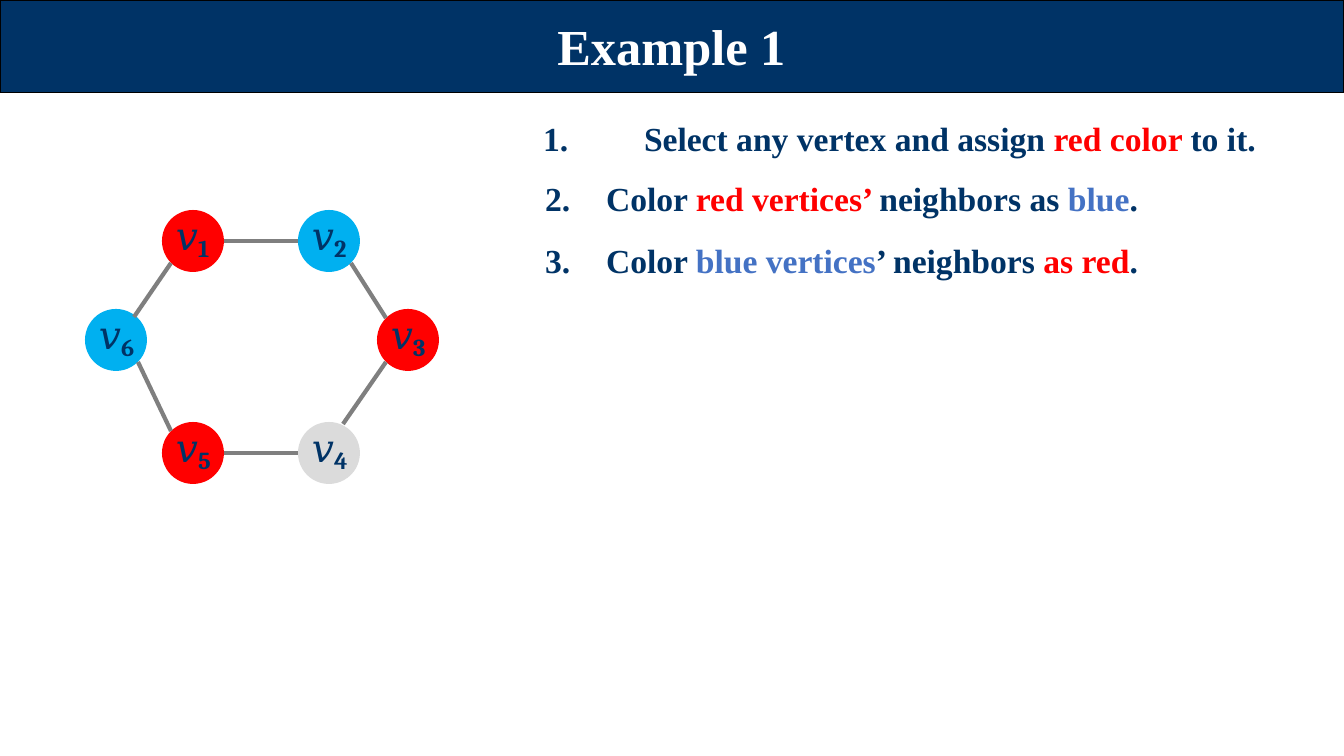
from lxml import etree
from pptx import Presentation
from pptx.dml.color import RGBColor
from pptx.enum.shapes import MSO_CONNECTOR, MSO_SHAPE
from pptx.enum.text import MSO_ANCHOR, PP_ALIGN
from pptx.oxml.ns import qn
from pptx.util import Pt

EMU_PER_PX = 914400 / 100.8
OVAL, RECTANGLE = MSO_SHAPE.OVAL, MSO_SHAPE.RECTANGLE
STRAIGHT = MSO_CONNECTOR.STRAIGHT
LEFT, CENTER = PP_ALIGN.LEFT, PP_ALIGN.CENTER
TOP, MIDDLE = MSO_ANCHOR.TOP, MSO_ANCHOR.MIDDLE

COLORS = {
    "navy": "003366", "white": "FFFFFF", "black": "000000",
    "red": "FF0000", "sky": "00B0F0", "blue": "4472C4",
    "pale": "DBDBDB", "gray": "7F7F7F",
}
SERIF, MATH = "Times New Roman", "Cambria"
DIAMETER = 62

VERTICES = [
    ("1", 193, 241, "red"), ("2", 329, 241, "sky"), ("3", 408, 340, "red"),
    ("4", 329, 453, "pale"), ("5", 193, 453, "red"), ("6", 116, 340, "sky"),
]
EDGES = [
    (224, 241, 298, 241), (351, 263, 386, 318), (386, 362, 343, 424),
    (298, 453, 224, 453), (171, 431, 138, 362), (134, 317, 171, 263),
]
STEPS = [
    (0, 101, 5, [("1.\tSelect any vertex and assign ", "navy"),
                 ("red color ", "red"), ("to it.", "navy")]),
    (2, 63, 14, [("2.\tColor ", "navy"), ("red vertices’ ", "red"),
                 ("neighbors as ", "navy"), ("blue", "blue"), (".", "navy")]),
    (2, 63, 15.4, [("3.\tColor ", "navy"), ("blue vertices", "blue"),
                   ("’ neighbors ", "navy"), ("as red", "red"), (".", "navy")]),
]


def px(length):
    """Turn pixels into EMU."""
    return round(length * EMU_PER_PX)


def color(name):
    """Look up a named colour."""
    return RGBColor.from_string(COLORS[name])


def add_filled(page, kind, area, fill, line=None):
    """Add a flat preset shape."""
    shape = page.shapes.add_shape(kind, *map(px, area))
    shape.shadow.inherit = False
    shape.fill.solid()
    shape.fill.fore_color.rgb = color(fill)
    if line:
        shape.line.color.rgb = color(line)
        shape.line.width = Pt(0.75)
    else:
        shape.line.fill.background()


def add_text_box(page, area, inset_left=0, inset_top=1, anchor=TOP):
    """Add a wrapping text box and return its text frame."""
    frame = page.shapes.add_textbox(*map(px, area)).text_frame
    frame.word_wrap = True
    frame.vertical_anchor = anchor
    frame.margin_left, frame.margin_top = px(inset_left), px(inset_top)
    frame.margin_right = frame.margin_bottom = 0
    return frame


def style_paragraph(para, font, fill, before=1, align=LEFT):
    """Set the bold font, colour, spacing and alignment of a paragraph."""
    para.font.name, para.font.bold = font, True
    para.font.color.rgb = color(fill)
    para.space_before = Pt(before)
    para.alignment = align


def add_span(para, text, size):
    """Add a run of the given point size."""
    span = para.add_run()
    span.text = text
    span.font.size = Pt(size)
    return span


def add_title(page, text):
    """Add the header band and its title."""
    add_filled(page, RECTANGLE, (0, 0, 1344, 93), "navy", "black")
    para = add_text_box(page, (539, 13, 265, 63), anchor=MIDDLE).paragraphs[0]
    style_paragraph(para, SERIF, "white", align=CENTER)
    add_span(para, text, 36)


def add_steps(page):
    """Add the numbered steps with hanging indents."""
    frame = add_text_box(page, (543, 109, 767, 172), inset_top=7)
    for index, (start, hang, before, spans) in enumerate(STEPS):
        para = frame.add_paragraph() if index else frame.paragraphs[0]
        style_paragraph(para, SERIF, "navy", before)
        if index == 0:
            para.line_spacing = Pt(30)
        properties = para._p.get_or_add_pPr()
        properties.set("marL", str(px(hang)))
        properties.set("indent", str(px(start - hang)))
        for text, fill in spans:
            add_span(para, text, 24).font.color.rgb = color(fill)


def add_vertex(page, number, x, y, fill):
    """Add a circle with its subscripted label."""
    radius = DIAMETER // 2
    add_filled(page, OVAL, (x - radius, y - radius, DIAMETER, DIAMETER), fill)
    frame = add_text_box(page, (x - 21, y - 33, 45, 49), inset_left=4)
    para = frame.paragraphs[0]
    style_paragraph(para, MATH, "navy")
    add_span(para, "𝑣", 28)
    subscript = add_span(para, number, 30)
    subscript._r.get_or_add_rPr().set("baseline", "-15000")


def add_edge(page, ends):
    """Add a gray line between two vertices."""
    edge = page.shapes.add_connector(STRAIGHT, *map(px, ends))
    edge.line.color.rgb = color("gray")
    edge.line.width = Pt(3)
    etree.SubElement(edge._element.spPr, qn("a:effectLst"))


def main():
    """Build the slide and save it."""
    deck = Presentation()
    deck.slide_width, deck.slide_height = px(1344), px(756)
    page = deck.slides.add_slide(deck.slide_layouts[6])
    add_title(page, "Example 1")
    add_steps(page)
    for vertex in VERTICES:
        add_vertex(page, *vertex)
    for ends in EDGES:
        add_edge(page, ends)
    deck.save("out.pptx")


if __name__ == "__main__":
    main()
